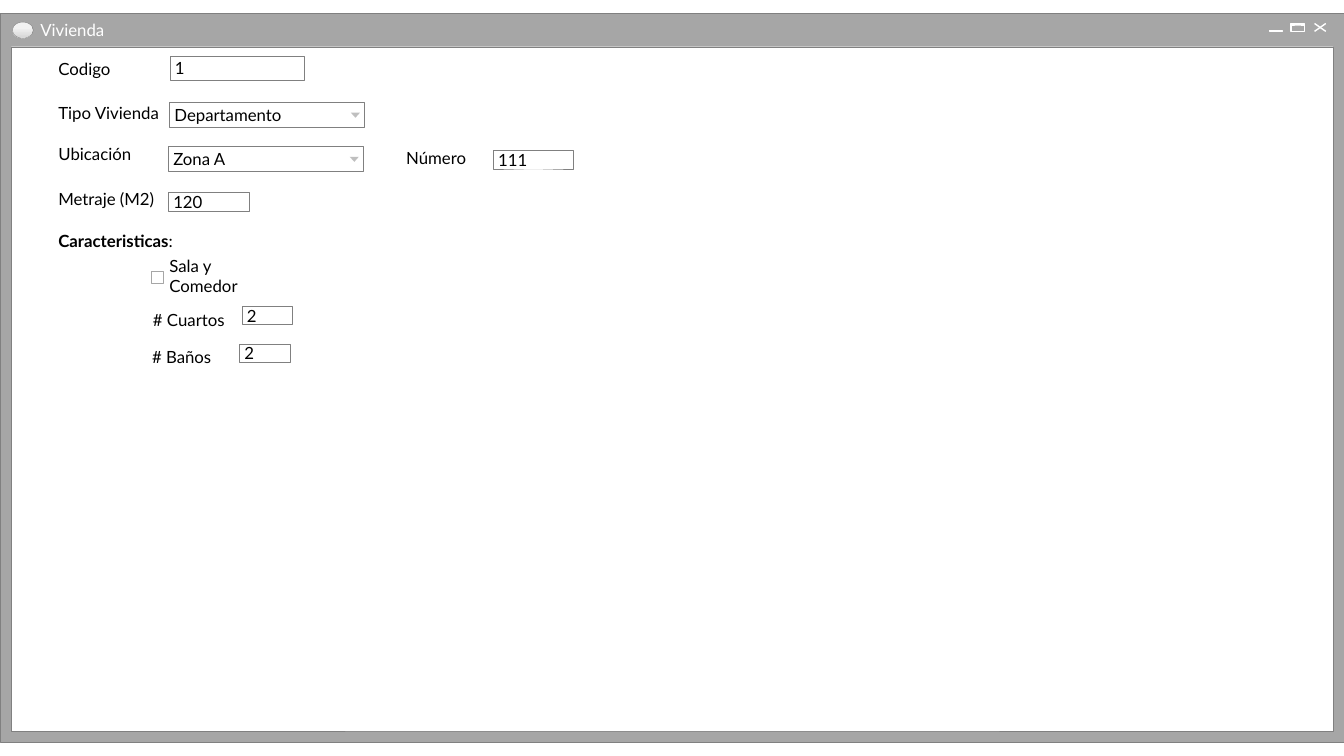
from copy import deepcopy
from dataclasses import dataclass

from lxml import etree
from pptx import Presentation
from pptx.dml.color import RGBColor
from pptx.enum import shapes, text
from pptx.oxml.ns import qn
from pptx.util import Pt

HUES = {"frame": "A6A6A6", "edge": "808080", "white": "FFFFFF", "ink": "000000",
        "arrow": "BFBFBF", "bar": "919191", "light": "F2F2F2", "mid": "D9D9D9"}
FONT, SIZE = "Lato", 12
KIND = shapes.MSO_SHAPE
LEFT = 34.6  # left edge of the main labels
LABEL_H = 17.8


@dataclass
class Label:
    """A caption beside a field; bold is the part set in bold before words."""
    words: str
    x: float
    y: float
    w: float
    bold: str = ""
    inset: float = 7.2


@dataclass
class Field:
    """A text box with a value."""
    words: str
    x: float
    y: float
    w: float
    h: float


@dataclass
class Combo:
    """A drop-down list with a chosen value."""
    words: str
    x: float
    y: float


LABELS = [
    Label("Codigo", LEFT, 40.5, 53.3),
    Label("Tipo Vivienda", LEFT, 72, 87.1),
    Label("Ubicación", LEFT, 101.5, 67),
    Label("Número", 283, 104.4, 58.3),
    Label("Metraje (M2)", LEFT, 133.4, 83.5),
    Label(":", LEFT, 163.6, 98.6, bold="Caracteristicas"),
    Label("Sala y Comedor", 108, 188.6, 100.8, inset=13),
    Label("# Cuartos", 102.2, 219.6, 66.2),
    Label("# Baños", 101.5, 246.2, 56.9),
]
FIELDS = [
    Field("1", 121.3, 40.2, 95.9, 16.8),
    Field("111", 352.2, 107.2, 57.6, 13.4),
    Field("120", 120.2, 137.4, 57.6, 13.4),
    Field("2", 172.8, 218.8, 36, 13),
    Field("2", 171, 245.8, 36, 12.6),
]
COMBOS = [Combo("Departamento", 121, 72.9), Combo("Zona A", 120.2, 104.4)]


def tint(name: str) -> RGBColor:
    """Return the named colour."""
    return RGBColor.from_string(HUES[name])


def draw(kind, x: float, y: float, w: float, h: float,
         fill: str = "", edge: str = "edge", thick: float = 0.25):
    """Add a preset shape; an empty fill or edge means none."""
    item = slide.shapes.add_shape(kind, Pt(x), Pt(y), Pt(w), Pt(h))
    item.shadow.inherit = False
    if fill:
        item.fill.solid()
        item.fill.fore_color.rgb = tint(fill)
    else:
        item.fill.background()
    if edge:
        item.line.color.rgb = tint(edge)
        item.line.width = Pt(thick)
    else:
        item.line.fill.background()
    return item


def write(item, words: str, side: float, top: float, base: float,
          wrap: bool = False, hue: str = "ink", bold: str = "") -> None:
    """Put one line of left-aligned text in a shape."""
    frame = item.text_frame
    frame.word_wrap = wrap
    frame.vertical_anchor = text.MSO_ANCHOR.MIDDLE
    frame.margin_left, frame.margin_right = Pt(side), Pt(side)
    frame.margin_top, frame.margin_bottom = Pt(top), Pt(base)
    line = frame.paragraphs[0]
    line.alignment = text.PP_ALIGN.LEFT
    line.font.name, line.font.size = FONT, Pt(SIZE)
    line.font.color.rgb = tint(hue)
    if bold:
        run = line.add_run()
        run.text, run.font.bold = bold, True
    line.add_run().text = words


def add_label(tag: Label, hue: str = "ink") -> None:
    """Add a caption."""
    box = slide.shapes.add_textbox(Pt(tag.x), Pt(tag.y), Pt(tag.w), Pt(LABEL_H))
    write(box, tag.words, tag.inset, 1.4, 2.2, hue=hue, bold=tag.bold)
    box.text_frame.auto_size = text.MSO_AUTO_SIZE.SHAPE_TO_FIT_TEXT


def add_field(field: Field) -> None:
    """Add a text box with its value."""
    box = draw(KIND.RECTANGLE, field.x, field.y, field.w, field.h, "white")
    write(box, field.words, 3.6, 1.4, 1.4)


def add_combo(combo: Combo) -> None:
    """Add a drop-down list with its arrow."""
    box = draw(KIND.RECTANGLE, combo.x, combo.y, 139, 18, "white")
    write(box, combo.words, 3.6, 3.6, 3.6, wrap=True)
    arrow = draw(KIND.ISOSCELES_TRIANGLE, combo.x + 129.6, combo.y + 7.6,
                 6.5, 3.6, "arrow", "")
    arrow.rotation = 180


def add_stroke(x: float, y: float, end_x: float, end_y: float) -> None:
    """Add a white line of the close button."""
    line = slide.shapes.add_connector(shapes.MSO_CONNECTOR.STRAIGHT,
                                      Pt(x), Pt(y), Pt(end_x), Pt(end_y))
    line.line.color.rgb = tint("white")
    line.line.width = Pt(1)
    etree.SubElement(line._element.spPr, qn("a:effectLst"))


def add_icon() -> None:
    """Add the shaded oval of the title bar."""
    fill = draw(KIND.OVAL, 8.8, 15.8, 15, 11.5).fill
    fill.gradient()
    fill.gradient_angle = 270
    last = fill.gradient_stops[1]._gs
    last.addnext(deepcopy(last))
    stops = [(0.36, "light"), (0.91, "mid"), (1, "light")]
    for stop, (place, hue) in zip(fill._fill.gradient_stops, stops):
        stop.position = place
        stop.color.rgb = tint(hue)


def add_window() -> None:
    """Add the window frame, its title and its buttons."""
    draw(KIND.RECTANGLE, 0, 9.6, 960, 520.5, "frame")
    draw(KIND.RECTANGLE, 8.2, 33.4, 944, 488.8, "white")
    add_label(Label("Vivienda", 25.2, 12.6, 64.8, inset=3.6), "white")
    for start, end in ((16.8, 22.4), (22.4, 16.8)):
        add_stroke(939, start, 947, end)
    draw(KIND.RECTANGLE, 922.3, 17, 9.4, 0.9, "bar", "white")
    draw(KIND.RECTANGLE, 922.3, 16.8, 9.4, 5.6, "", "white", 1)
    draw(KIND.RECTANGLE, 906.7, 21.6, 9.4, 0.9, "bar", "white")
    add_icon()


deck = Presentation()
deck.slide_width, deck.slide_height = Pt(960), Pt(540)
slide = deck.slides.add_slide(deck.slide_layouts[6])

add_window()
for label in LABELS:
    add_label(label)
for entry in FIELDS:
    add_field(entry)
for choice in COMBOS:
    add_combo(choice)
draw(KIND.RECTANGLE, 108, 193.7, 8.4, 8.4, "white", "frame")

deck.save("out.pptx")
